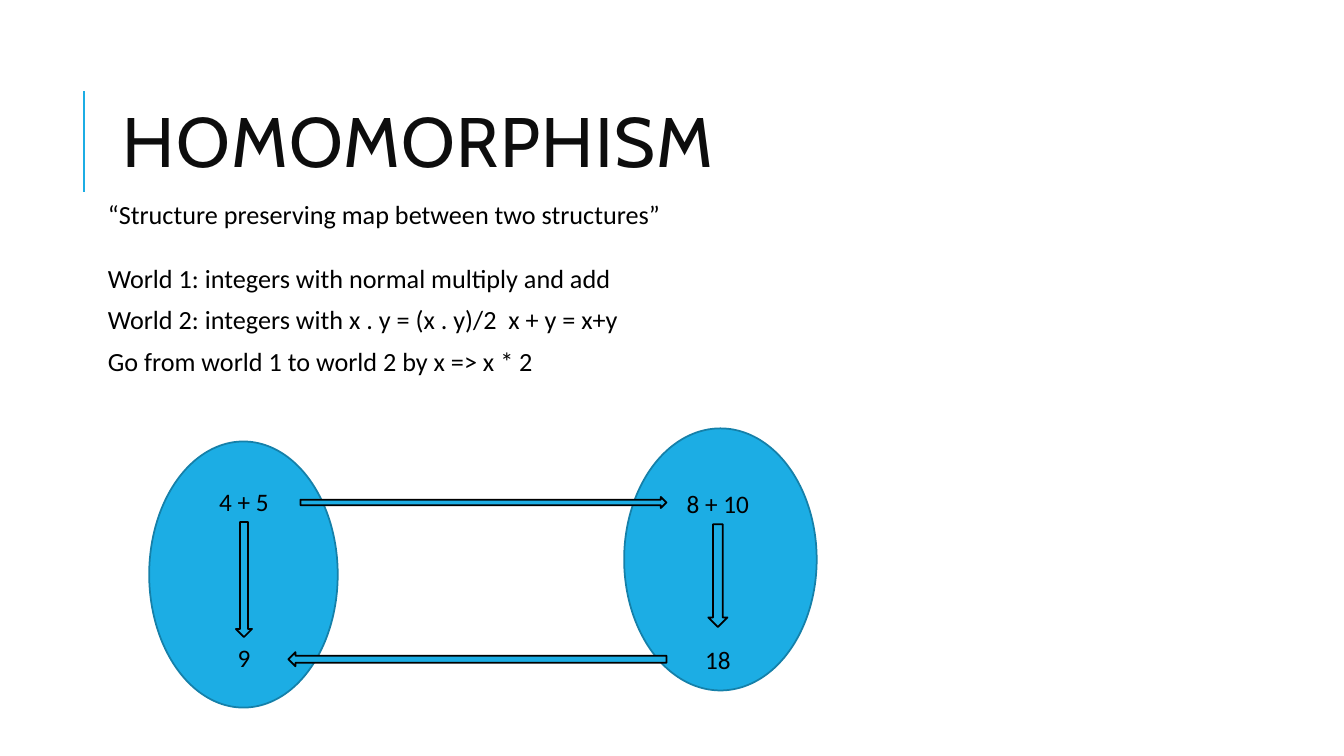
from lxml.etree import SubElement
from pptx import Presentation
from pptx.dml.color import RGBColor
from pptx.enum.shapes import MSO_CONNECTOR, MSO_SHAPE
from pptx.enum.text import MSO_ANCHOR, PP_ALIGN
from pptx.oxml.ns import qn
from pptx.util import Inches, Pt

BLUE, EDGE, BLACK, INK = "1CADE4", "1580A9", "000000", "0D0D0D"
BODY = {"name": "Calibri", "size": Pt(18.7)}
LABEL = {"name": "Calibri", "size": Pt(18)}
TITLE = {"name": "Cabin", "size": Pt(50)}


def tint(code):
    """Turn a hex string into a colour."""
    return RGBColor.from_string(code)


def apply(target, values):
    """Set each attribute in values on target."""
    for name, value in values.items():
        setattr(target, name, value)


def write(para, text, font, color):
    """Add a formatted run to a paragraph and return it."""
    run = para.add_run()
    run.text = text
    apply(run.font, font)
    run.font.color.rgb = tint(color)
    return run


def draw(shapes, kind, box, edge):
    """Add a blue preset shape with an outline."""
    shape = shapes.add_shape(kind, *map(Inches, box))
    shape.shadow.inherit = False
    shape.fill.solid()
    shape.fill.fore_color.rgb = tint(BLUE)
    shape.line.color.rgb = tint(edge)
    shape.line.width = Pt(1.25)


def label(shapes, text, axis, top, width):
    """Add a number label centred on a vertical axis."""
    box = shapes.add_textbox(*map(Inches, (axis - width / 2, top, width, 0.4)))
    box.text_frame.word_wrap = False
    para = box.text_frame.paragraphs[0]
    para.alignment = PP_ALIGN.CENTER
    write(para, text, LABEL, BLACK)


def header(slide, box):
    """Place the title and the accent line to its left."""
    left, top, width, height = box
    rule = slide.shapes.add_connector(
        MSO_CONNECTOR.STRAIGHT,
        *map(Inches, (left - 0.29, top + 1.26, left - 0.29, top + 0.26)))
    rule.line.color.rgb = tint(BLUE)
    rule.line.width = Pt(1.5)
    SubElement(rule._element.spPr, qn("a:effectLst"))
    frame = slide.shapes.add_textbox(*map(Inches, box)).text_frame
    apply(frame, {"word_wrap": True, "vertical_anchor": MSO_ANCHOR.MIDDLE})
    para = frame.paragraphs[0]
    para.line_spacing = 0.8
    run = write(para, "HOMOMORPHISM", TITLE, INK)
    run._r.get_or_add_rPr().set("spc", "100")


def body(slide, box):
    """Place the definition and the lines on the two worlds."""
    frame = slide.shapes.add_textbox(*map(Inches, box)).text_frame
    apply(frame, {"word_wrap": True, "margin_left": Inches(0.15),
                  "margin_right": Inches(0.05), "margin_top": Inches(0.05),
                  "margin_bottom": Inches(0.05)})
    lines = (
        ("“Structure preserving map between two structures”", 12),
        ("World 1: integers with normal multiply and add", 28),
        ("World 2: integers with x . y = (x . y)/2  x + y = x+y", 12),
        ("Go from world 1 to world 2 by x => x * 2", 12),
    )
    for i, (text, gap) in enumerate(lines):
        para = frame.add_paragraph() if i else frame.paragraphs[0]
        apply(para, {"line_spacing": 0.7, "space_before": Pt(gap),
                     "space_after": Pt(2)})
        write(para, text, BODY, BLACK)


def world(slide, box, total, result, axis, drop, arrow):
    """Place an ellipse holding a sum, a down arrow and its result."""
    left, top, width, height = box
    shapes = slide.shapes.add_group_shape().shapes
    mid, start = left + axis, top + drop
    wide, tall = arrow
    draw(shapes, MSO_SHAPE.OVAL, box, EDGE)
    label(shapes, total, mid, start, 0.84)
    label(shapes, result, mid, start + 1.54, 0.46)
    draw(shapes, MSO_SHAPE.DOWN_ARROW,
         (mid - wide / 2, start + 0.4, wide, tall), BLACK)


def diagram(slide, box):
    """Place both worlds and the maps between them."""
    left, top, width, height = box
    world(slide, (left + 4.71, top, 1.91, 2.6), "8 + 10", "18",
          0.93, 0.55, (0.19, 1.02))
    world(slide, (left, top + 0.13, 1.87, 2.64), "4 + 5", "9",
          0.94, 0.4, (0.16, 1.14))
    draw(slide.shapes, MSO_SHAPE.RIGHT_ARROW,
         (left + 1.5, top + 0.68, 3.63, 0.11), BLACK)
    draw(slide.shapes, MSO_SHAPE.LEFT_ARROW,
         (left + 1.38, top + 2.22, 3.75, 0.14), BLACK)


def main():
    """Build the slide and save it."""
    deck = Presentation()
    apply(deck, {"slide_width": Inches(13.33), "slide_height": Inches(7.5)})
    slide = deck.slides.add_slide(deck.slide_layouts[6])
    header(slide, (1.12, 0.64, 10.63, 1.64))
    body(slide, (0.92, 2, 11.5, 2.42))
    diagram(slide, (1.48, 4.25, 6.62, 2.77))
    deck.save("out.pptx")


if __name__ == "__main__":
    main()
